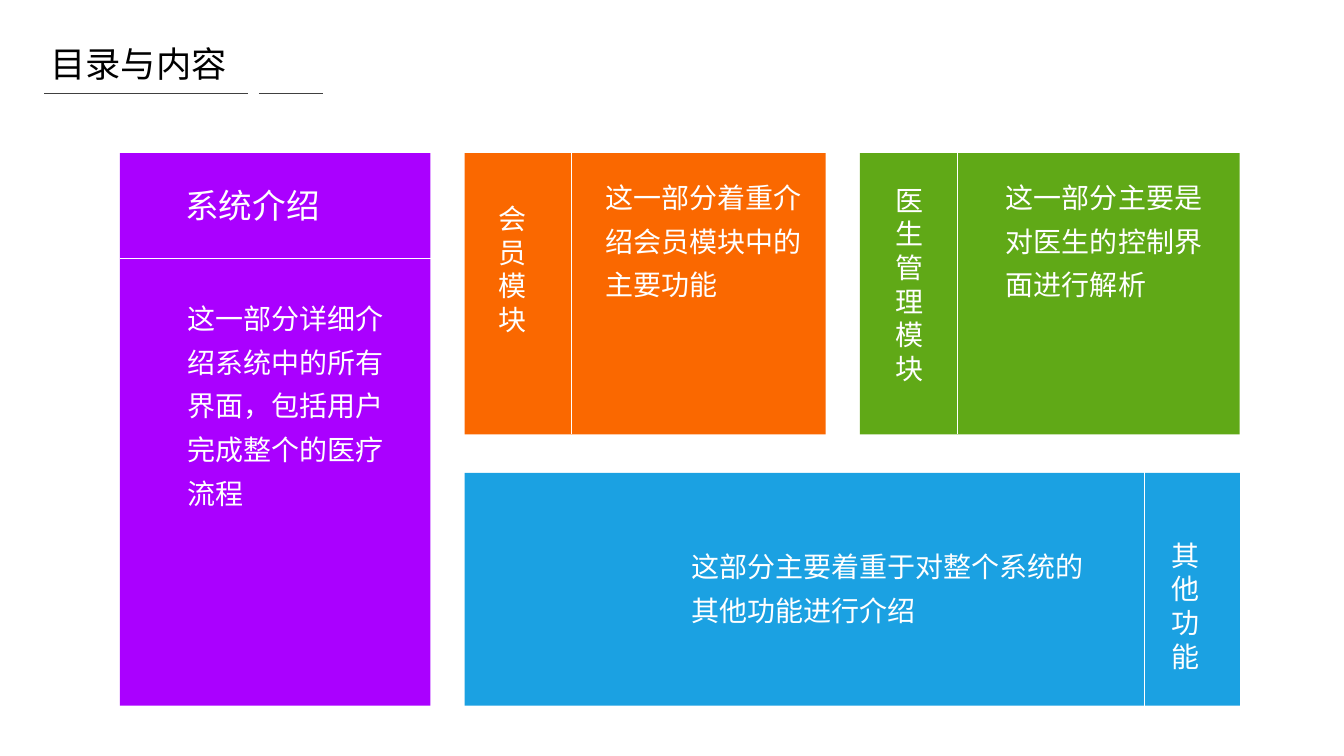
"""Build the contents slide with its four coloured section tiles."""
from lxml.etree import SubElement
from pptx import Presentation
from pptx.dml.color import RGBColor
from pptx.enum.shapes import MSO_CONNECTOR, MSO_SHAPE
from pptx.enum.text import MSO_ANCHOR, MSO_AUTO_SIZE, PP_ALIGN
from pptx.oxml.ns import qn
from pptx.util import Pt

WHITE = "FFFFFF"
LEFT, MIDDLE, RIGHT = 85.7, 331.9, 885.6
TOP, BOTTOM = 109.4, 504
UPPER_HEIGHT = 200.9
BLUE_TOP = 337.7

TILES = [
    ("AA00FF", LEFT, TOP, 221.8, BOTTOM - TOP),
    ("1BA1E2", MIDDLE, BLUE_TOP, RIGHT - MIDDLE, BOTTOM - BLUE_TOP),
    ("FA6800", MIDDLE, TOP, 257.8, UPPER_HEIGHT),
    ("60A917", 614.2, TOP, RIGHT - 614.2, UPPER_HEIGHT),
]
DIVIDERS = [
    (LEFT, 184.3, 307.8, 184.3),
    (408.2, 108.7, 408.2, 310.3),
    (684, 108.7, 684, 310.3),
    (817.2, 319.7, 817.2, 521.3),
]
TITLE_RULES = [(31.7, 66.4, 177.1, 66.4), (185, 66.4, 230.4, 66.4)]
HEADINGS = [
    ("系统介绍", 24, 125.3, 128.2, 171.4, 36),
    ("会员模块", 20, 349.2, 140.4, 40.3, 104.4),
    ("医生管理模块", 20, 632.2, 127.4, 37.4, 152.6),
    ("其他功能", 20, 829.4, 380.9, 32.4, 104.4),
]
DESCRIPTIONS = [
    ("这一部分详细介绍系统中的所有界面，包括用户完成整个的医疗流程",
     128.9, 205.2, 152.6, 162.7),
    ("这一部分着重介绍会员模块中的主要功能", 427.7, 118.8, 152.6, 100.1),
    ("这一部分主要是对医生的控制界面进行解析", 713.5, 118.8, 152.6, 100.1),
    ("这部分主要着重于对整个系统的其他功能进行介绍", 488.9, 382.3, 303.8, 68.4),
]


def color(hex_string):
    """Return the colour for a hex string."""
    return RGBColor.from_string(hex_string)


def style(paragraph, size, font_name, hex_string, spacing=1.0):
    """Format a left-aligned paragraph."""
    paragraph.alignment = PP_ALIGN.LEFT
    paragraph.line_spacing = spacing
    paragraph.font.size = Pt(size)
    paragraph.font.name = font_name
    paragraph.font.color.rgb = color(hex_string)


def set_title(slide, text):
    """Fill and place the title placeholder."""
    title = slide.shapes.title
    title.left, title.top = Pt(28.8), Pt(28.8)
    title.width, title.height = Pt(428.4), Pt(37.4)
    frame = title.text_frame
    frame.text = text
    frame.vertical_anchor = MSO_ANCHOR.MIDDLE
    frame.auto_size = MSO_AUTO_SIZE.NONE
    style(frame.paragraphs[0], 25.2, "Calibri", "000000", 0.9)


def add_tile(slide, fill, *box):
    """Add a plain coloured rectangle."""
    tile = slide.shapes.add_shape(MSO_SHAPE.RECTANGLE, *map(Pt, box))
    tile.shadow.inherit = False
    tile.fill.solid()
    tile.fill.fore_color.rgb = color(fill)
    tile.line.fill.background()


def add_rule(slide, hex_string, *ends):
    """Add a thin straight line."""
    rule = slide.shapes.add_connector(MSO_CONNECTOR.STRAIGHT, *map(Pt, ends))
    rule.line.color.rgb = color(hex_string)
    rule.line.width = Pt(0.5)
    SubElement(rule._element.spPr, qn("a:effectLst"))


def add_text(slide, text, *box):
    """Add a wrapping text box and return its frame."""
    frame = slide.shapes.add_textbox(*map(Pt, box)).text_frame
    frame.word_wrap = True
    frame.auto_size = MSO_AUTO_SIZE.SHAPE_TO_FIT_TEXT
    frame.text = text
    return frame


def add_heading(slide, text, size, *box):
    """Add the heading of a section."""
    frame = add_text(slide, text, *box)
    style(frame.paragraphs[0], size, "Calibri", WHITE)


def add_description(slide, text, *box):
    """Add the description of a section."""
    frame = add_text(slide, text, *box)
    frame.margin_left = frame.margin_right = Pt(5)
    frame.margin_top = frame.margin_bottom = Pt(2.9)
    style(frame.paragraphs[0], 20, "Noto Sans CJK SC", WHITE, 1.3)


def main():
    """Build and save the slide."""
    deck = Presentation()
    deck.slide_width, deck.slide_height = Pt(960), Pt(540)
    slide = deck.slides.add_slide(deck.slide_layouts[5])
    set_title(slide, "目录与内容")
    for ends in TITLE_RULES:
        add_rule(slide, "404040", *ends)
    for tile in TILES:
        add_tile(slide, *tile)
    for ends in DIVIDERS:
        add_rule(slide, WHITE, *ends)
    for heading in HEADINGS:
        add_heading(slide, *heading)
    for description in DESCRIPTIONS:
        add_description(slide, *description)
    deck.save("out.pptx")


if __name__ == "__main__":
    main()
